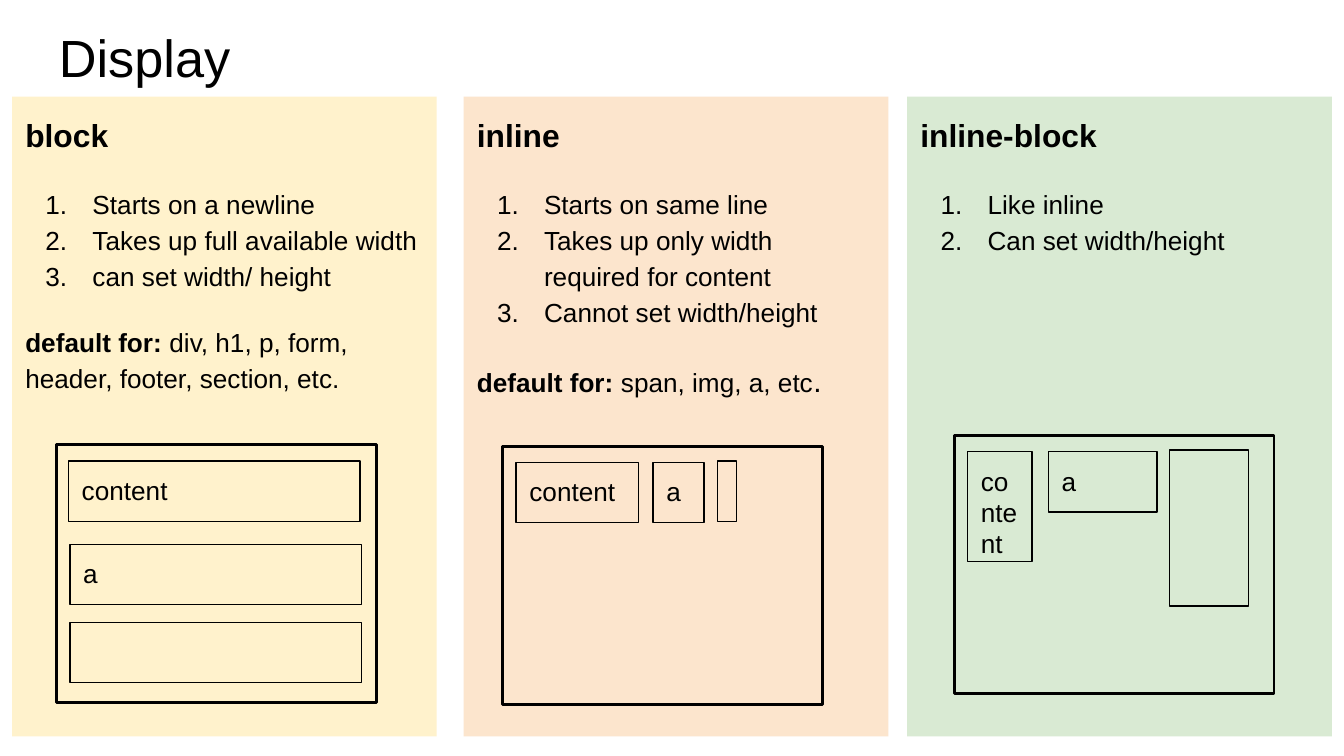
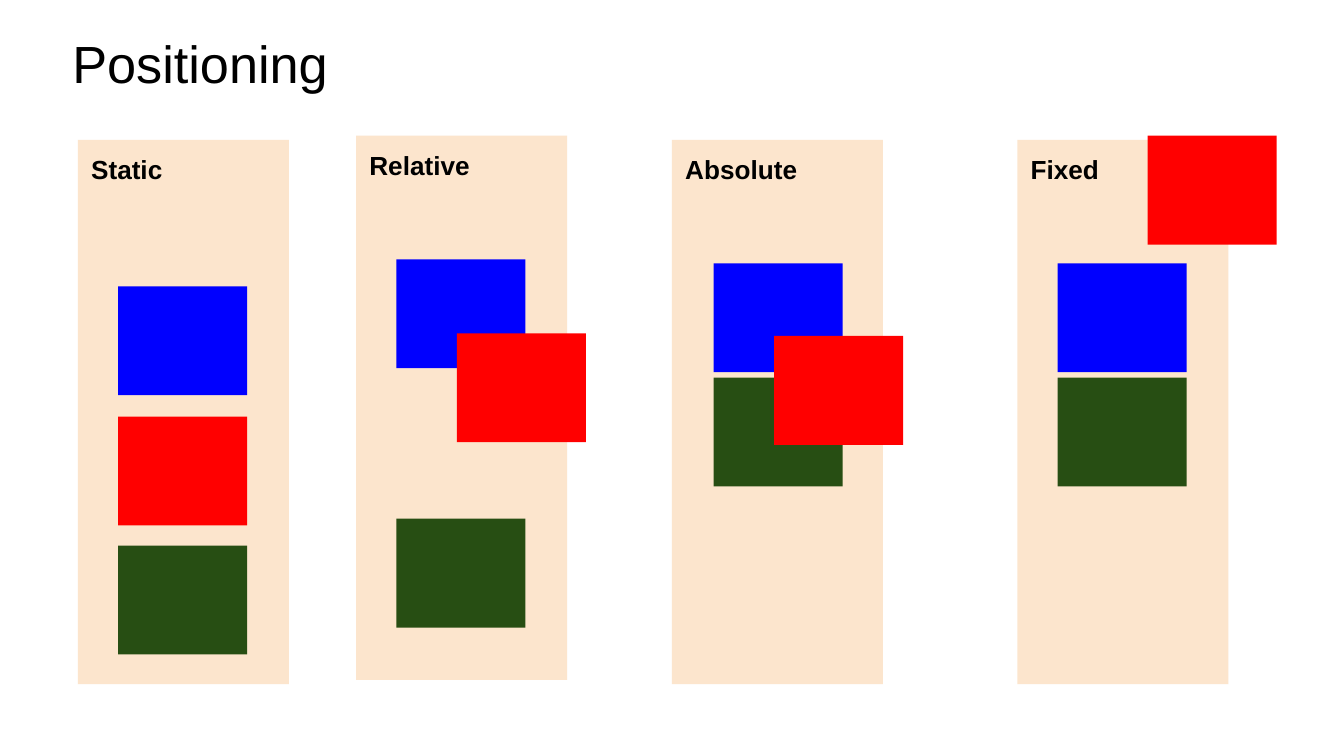
from dataclasses import dataclass

import lxml.etree
import pptx
import pptx.dml.color
import pptx.enum.shapes
import pptx.enum.text
import pptx.oxml.ns
import pptx.util

Inches = pptx.util.Inches
Pt = pptx.util.Pt

FONT = "Arial"
COLOURS = {
    "text": "000000",
    "yellow": "FFF2CC",
    "peach": "FCE5CD",
    "mint": "D9EAD3",
    "blue": "0000FF",
    "red": "FF0000",
    "green": "274E13",
}
PANEL_TOP, PANEL_WIDTH, PANEL_HEIGHT = 0.72, 3.16, 4.76
FRAME_WIDTH, FRAME_HEIGHT = 2.38, 1.92
COLUMN_WIDTH, COLUMN_HEIGHT = 1.57, 4.05
SQUARE_WIDTH, SQUARE_HEIGHT = 0.96, 0.81


@dataclass(frozen=True)
class Box:
    left: float
    top: float
    width: float
    height: float = 0.45
    text: str = ""


@dataclass(frozen=True)
class DisplayPanel:
    heading: str
    fill: str
    left: float
    rules: tuple[str, ...]
    defaults: tuple[tuple[str, int, bool], ...]  # text, size, bold
    frame: tuple[float, float]
    boxes: tuple[Box, ...]


@dataclass(frozen=True)
class PositionColumn:
    heading: str
    left: float
    top: float
    squares: tuple[tuple[str, float, float], ...]  # colour, left, top


DISPLAY_PANELS = (
    DisplayPanel(
        "block", "yellow", 0.09,
        ("Starts on a newline", "Takes up full available width", "can set width/ height"),
        (("default for:", 14, True),
         (" div, h1, p, form, header, footer, section, etc.", 14, False)),
        (0.42, 3.31),
        (Box(0.51, 3.43, 2.17, text="content"), Box(0.52, 4.05, 2.17, text="a"),
         Box(0.52, 4.63, 2.17)),
    ),
    DisplayPanel(
        "inline", "peach", 3.45,
        ("Starts on same line", "Takes up only width required for content",
         "Cannot set width/height"),
        (("default for:", 14, True), (" span, img, a, etc", 14, False), (".", 16, False)),
        (3.74, 3.32),
        (Box(3.84, 3.44, 0.91, text="content"), Box(4.86, 3.44, 0.38, text="a"),
         Box(5.34, 3.43, 0.14)),
    ),
    DisplayPanel(
        "inline-block", "mint", 6.75,
        ("Like inline", "Can set width/height"),
        (),
        (7.1, 3.24),
        (Box(7.2, 3.36, 0.48, 0.82, "content"), Box(7.8, 3.36, 0.81, text="a"),
         Box(8.7, 3.35, 0.59, 1.16)),
    ),
)

# Squares are listed from back to front
POSITION_COLUMNS = (
    PositionColumn("Static", 0.58, 1.04,
                   (("blue", 0.88, 2.13), ("red", 0.88, 3.1), ("green", 0.88, 4.06))),
    PositionColumn("Relative", 2.65, 1.01,
                   (("blue", 2.95, 1.93), ("red", 3.4, 2.48), ("green", 2.95, 3.86))),
    PositionColumn("Absolute", 5, 1.04,
                   (("blue", 5.31, 1.96), ("green", 5.31, 2.81), ("red", 5.76, 2.5))),
    PositionColumn("Fixed", 7.57, 1.04,
                   (("blue", 7.87, 1.96), ("green", 7.87, 2.81), ("red", 8.54, 1.01))),
)


# Shared helpers
def colour(name: str) -> pptx.dml.color.RGBColor:
    return pptx.dml.color.RGBColor.from_string(COLOURS[name])


def write(paragraph, text: str, *, size: float = 14, bold: bool = False) -> None:
    run = paragraph.add_run()
    run.text = text
    run.font.name = FONT
    run.font.size = Pt(size)
    run.font.bold = bold
    run.font.color.rgb = colour("text")


def prepare_frame(shape):
    frame = shape.text_frame
    frame.word_wrap = True
    frame.vertical_anchor = pptx.enum.text.MSO_ANCHOR.TOP
    frame.margin_left = frame.margin_right = Inches(0.1)
    frame.margin_top = frame.margin_bottom = Inches(0.1)
    frame.paragraphs[0].alignment = pptx.enum.text.PP_ALIGN.LEFT
    return frame


def add_rectangle(slide, box: Box, *, fill: str = "", line: float = 0, bold: bool = False):
    shape = slide.shapes.add_shape(
        pptx.enum.shapes.MSO_SHAPE.RECTANGLE,
        Inches(box.left), Inches(box.top), Inches(box.width), Inches(box.height))
    shape.shadow.inherit = False
    if fill:
        shape.fill.solid()
        shape.fill.fore_color.rgb = colour(fill)
    else:
        shape.fill.background()
    if line:
        shape.line.color.rgb = colour("text")
        shape.line.width = Pt(line)
    else:
        shape.line.fill.background()
    frame = prepare_frame(shape)
    if box.text:
        write(frame.paragraphs[0], box.text, bold=bold)
    return shape


def add_title(slide, text: str, left: float, top: float) -> None:
    shape = slide.shapes.add_textbox(Inches(left), Inches(top), Inches(9.32), Inches(0.63))
    write(prepare_frame(shape).paragraphs[0], text, size=28)


def add_panel_paragraph(frame, before: float = 0):
    paragraph = frame.add_paragraph()
    paragraph.alignment = pptx.enum.text.PP_ALIGN.LEFT
    paragraph.line_spacing = 1.15
    paragraph.space_before = Pt(before)
    return paragraph


def number_paragraph(paragraph) -> None:
    qualified = pptx.oxml.ns.qn
    properties = paragraph._p.get_or_add_pPr()
    properties.set("marL", str(Inches(0.5)))
    properties.set("indent", str(Inches(-0.35)))
    bullet_colour = lxml.etree.SubElement(properties, qualified("a:buClr"))
    lxml.etree.SubElement(bullet_colour, qualified("a:srgbClr"), val=COLOURS["text"])
    lxml.etree.SubElement(properties, qualified("a:buAutoNum"), type="arabicPeriod")


# Slide parts
def add_display_panel(slide, panel: DisplayPanel) -> None:
    shape = add_rectangle(
        slide, Box(panel.left, PANEL_TOP, PANEL_WIDTH, PANEL_HEIGHT), fill=panel.fill)
    frame = shape.text_frame
    frame.paragraphs[0].line_spacing = 1.15
    write(frame.paragraphs[0], panel.heading, size=17, bold=True)
    for index, rule in enumerate(panel.rules):
        paragraph = add_panel_paragraph(frame, before=0 if index else 16)
        number_paragraph(paragraph)
        write(paragraph, rule)
    if panel.defaults:
        paragraph = add_panel_paragraph(frame, before=16)
        paragraph.space_after = Pt(16)
        for text, size, bold in panel.defaults:
            write(paragraph, text, size=size, bold=bold)

    # Layout sketch
    add_rectangle(slide, Box(*panel.frame, FRAME_WIDTH, FRAME_HEIGHT), line=1.5)
    for box in panel.boxes:
        add_rectangle(slide, box, line=0.75)


def add_position_column(slide, column: PositionColumn) -> None:
    add_rectangle(
        slide, Box(column.left, column.top, COLUMN_WIDTH, COLUMN_HEIGHT, column.heading),
        fill="peach", bold=True)
    for fill, left, top in column.squares:
        add_rectangle(slide, Box(left, top, SQUARE_WIDTH, SQUARE_HEIGHT), fill=fill)


def main() -> None:
    presentation = pptx.Presentation()
    presentation.slide_width = Inches(10)
    presentation.slide_height = Inches(10 * 9 / 16)
    blank = presentation.slide_layouts[6]

    # Display
    slide = presentation.slides.add_slide(blank)
    add_title(slide, "Display", 0.34, 0.09)
    for panel in DISPLAY_PANELS:
        add_display_panel(slide, panel)

    # Positioning
    slide = presentation.slides.add_slide(blank)
    add_title(slide, "Positioning", 0.44, 0.13)
    for column in POSITION_COLUMNS:
        add_position_column(slide, column)

    presentation.save("out.pptx")


if __name__ == "__main__":
    main()
